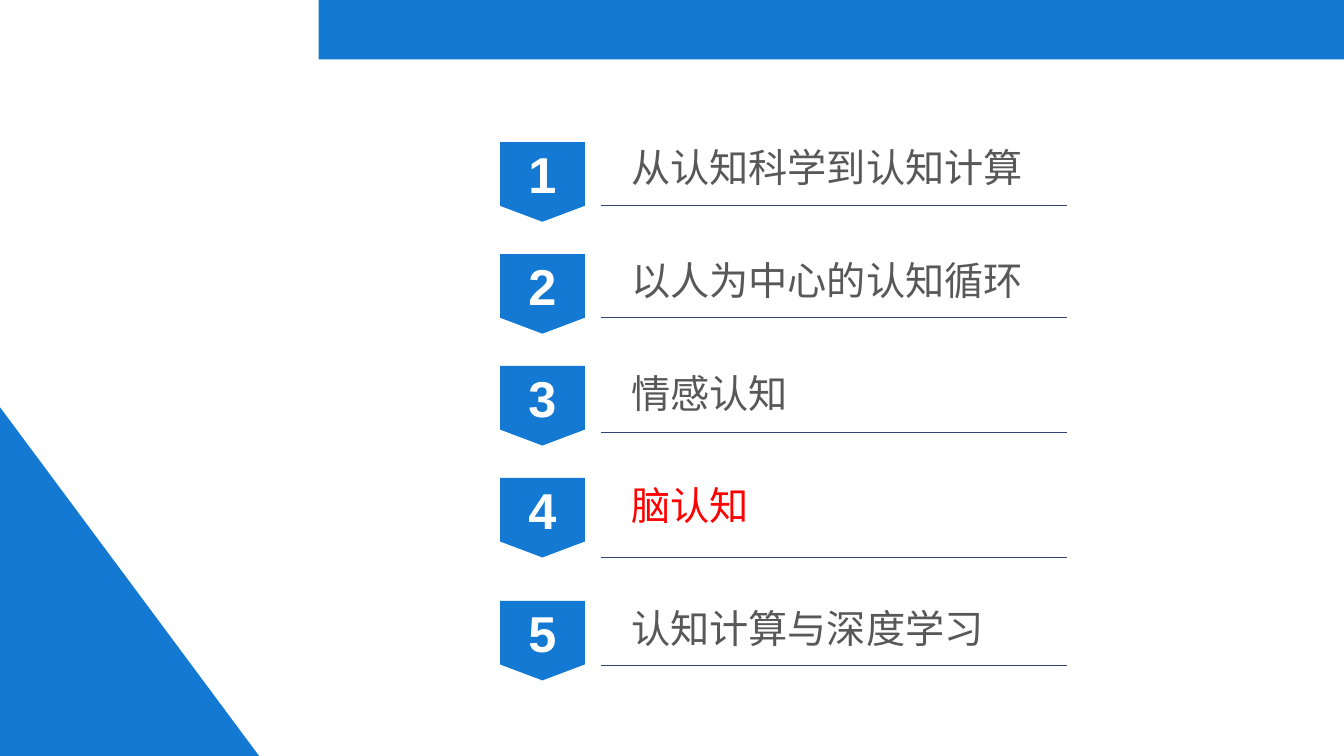
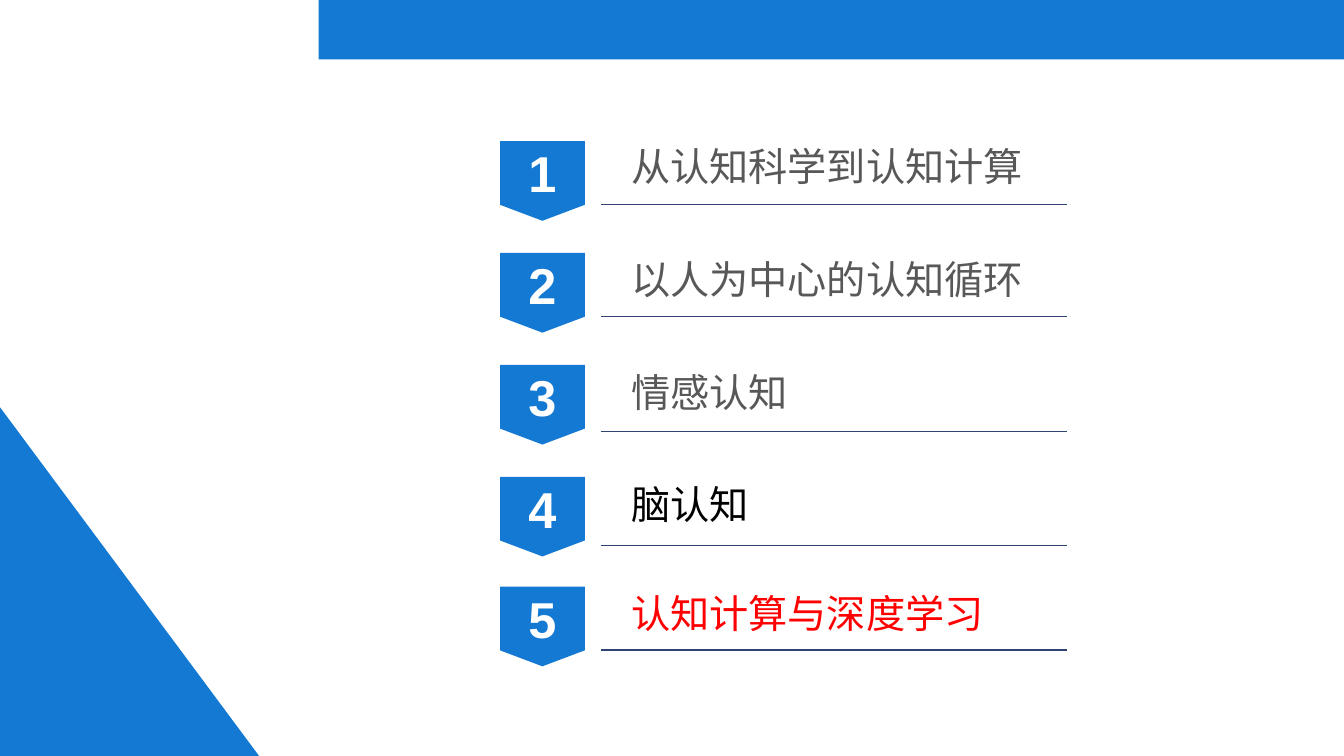
"""Builds two agenda slides, each with its current chapter highlighted."""
from dataclasses import dataclass

import pptx
import pptx.dml.color
import pptx.enum.shapes
import pptx.enum.text
import pptx.oxml
import pptx.oxml.ns
import pptx.util

Inches = pptx.util.Inches
Pt = pptx.util.Pt
RGB = pptx.dml.color.RGBColor
SHAPE = pptx.enum.shapes.MSO_SHAPE


@dataclass(frozen=True)
class Theme:
    blue: str = "1379D3"
    navy: str = "304370"
    white: str = "FFFFFF"
    gray: str = "585858"
    black: str = "000000"
    red: str = "FF0000"
    number_font: str = "Arial"
    label_font: str = "Noto Sans CJK JP"
    number_size: int = 36
    label_size: int = 28


THEME = Theme()

CHAPTERS = [
    "从认知科学到认知计算",
    "以人为中心的认知循环",
    "情感认知",
    "脑认知",
    "认知计算与深度学习",
]

AGENDAS = [
    {
        "first_top": 1.41,
        "last_top": 5.96,
        "rules": [2.04, 3.15, 4.29, 5.53, 6.6],
        "colors": {3: THEME.red},
    },
    {
        "first_top": 1.4,
        "last_top": 5.82,
        "rules": [2.03, 3.14, 4.28, 5.41, 6.45],
        "colors": {3: THEME.black, 4: THEME.red},
    },
]

SLIDE_W, SLIDE_H = 13.33, 7.5
BAND_LEFT, BAND_H = 3.16, 0.59
CORNER_W, CORNER_H = 2.57, 3.46
PITCH = 1.11
BADGE_LEFT, BADGE_W, BADGE_H = 4.96, 0.84, 0.79
RULE_LEFT, RULE_RIGHT = 5.96, 10.58
LABEL_LEFT, LABEL_H = 6.26, 0.49
LABEL_SHIFTS = [-0.01, 0, 0.01, 0.01, 0.01]


def add_filled(s, preset, left, top, width, height):
    sp = s.shapes.add_shape(
        preset, Inches(left), Inches(top), Inches(width), Inches(height))
    sp.shadow.inherit = False
    sp.fill.solid()
    sp.fill.fore_color.rgb = RGB.from_string(THEME.blue)
    sp.line.fill.background()
    return sp


def set_text(sp, text, font, size, color, bold=False, align="LEFT", inset=0.02):
    tf = sp.text_frame
    tf.text = text
    tf.word_wrap = True
    tf.vertical_anchor = pptx.enum.text.MSO_ANCHOR.TOP
    tf.margin_left = tf.margin_right = tf.margin_bottom = 0
    tf.margin_top = Inches(inset)
    p = tf.paragraphs[0]
    p.alignment = getattr(pptx.enum.text.PP_ALIGN, align)
    r = p.runs[0]
    r.font.name = font
    r.font.size = Pt(size)
    r.font.bold = bold
    r.font.color.rgb = RGB.from_string(color)
    ea = pptx.oxml.parse_xml(
        f'<a:ea {pptx.oxml.ns.nsdecls("a")} typeface="{font}"/>')
    r.font.latin = None
    r._r.get_or_add_rPr().find(pptx.oxml.ns.qn("a:latin")).addnext(ea)


def add_badge(s, number, top):
    sp = add_filled(s, SHAPE.FLOWCHART_OFFPAGE_CONNECTOR,
                    BADGE_LEFT, top, BADGE_W, BADGE_H)
    set_text(sp, str(number), THEME.number_font, THEME.number_size,
             THEME.white, bold=True, align="CENTER", inset=0.01)


def add_rule(s, y):
    line = s.shapes.add_connector(
        pptx.enum.shapes.MSO_CONNECTOR.STRAIGHT,
        Inches(RULE_LEFT), Inches(y), Inches(RULE_RIGHT), Inches(y))
    line.line.color.rgb = RGB.from_string(THEME.navy)
    line.line.width = Pt(1)
    line.element.spPr.append(pptx.oxml.parse_xml(
        f'<a:effectLst {pptx.oxml.ns.nsdecls("a")}/>'))


def add_label(s, text, top, color):
    width = len(text) * THEME.label_size / 72 + 0.03
    sp = s.shapes.add_textbox(
        Inches(LABEL_LEFT), Inches(top), Inches(width), Inches(LABEL_H))
    set_text(sp, text, THEME.label_font, THEME.label_size, color)
    sp.text_frame.auto_size = pptx.enum.text.MSO_AUTO_SIZE.SHAPE_TO_FIT_TEXT


def add_frame(s):
    add_filled(s, SHAPE.RECTANGLE, BAND_LEFT, 0, SLIDE_W - BAND_LEFT, BAND_H)
    add_filled(s, SHAPE.RIGHT_TRIANGLE,
               0, SLIDE_H - CORNER_H, CORNER_W, CORNER_H)


def add_agenda(prs, agenda):
    s = prs.slides.add_slide(prs.slide_layouts[6])
    add_frame(s)
    last = len(CHAPTERS) - 1
    tops = [agenda["first_top"] + PITCH * i for i in range(last)]
    tops.append(agenda["last_top"])
    rows = zip(CHAPTERS, tops, agenda["rules"], LABEL_SHIFTS)
    for i, (chapter, top, rule, shift) in enumerate(rows):
        add_badge(s, i + 1, top)
        add_rule(s, rule)
        add_label(s, chapter, top + shift, agenda["colors"].get(i, THEME.gray))


def main():
    prs = pptx.Presentation()
    prs.slide_width = Inches(SLIDE_W)
    prs.slide_height = Inches(SLIDE_H)
    for agenda in AGENDAS:
        add_agenda(prs, agenda)
    prs.save("out.pptx")


if __name__ == "__main__":
    main()
